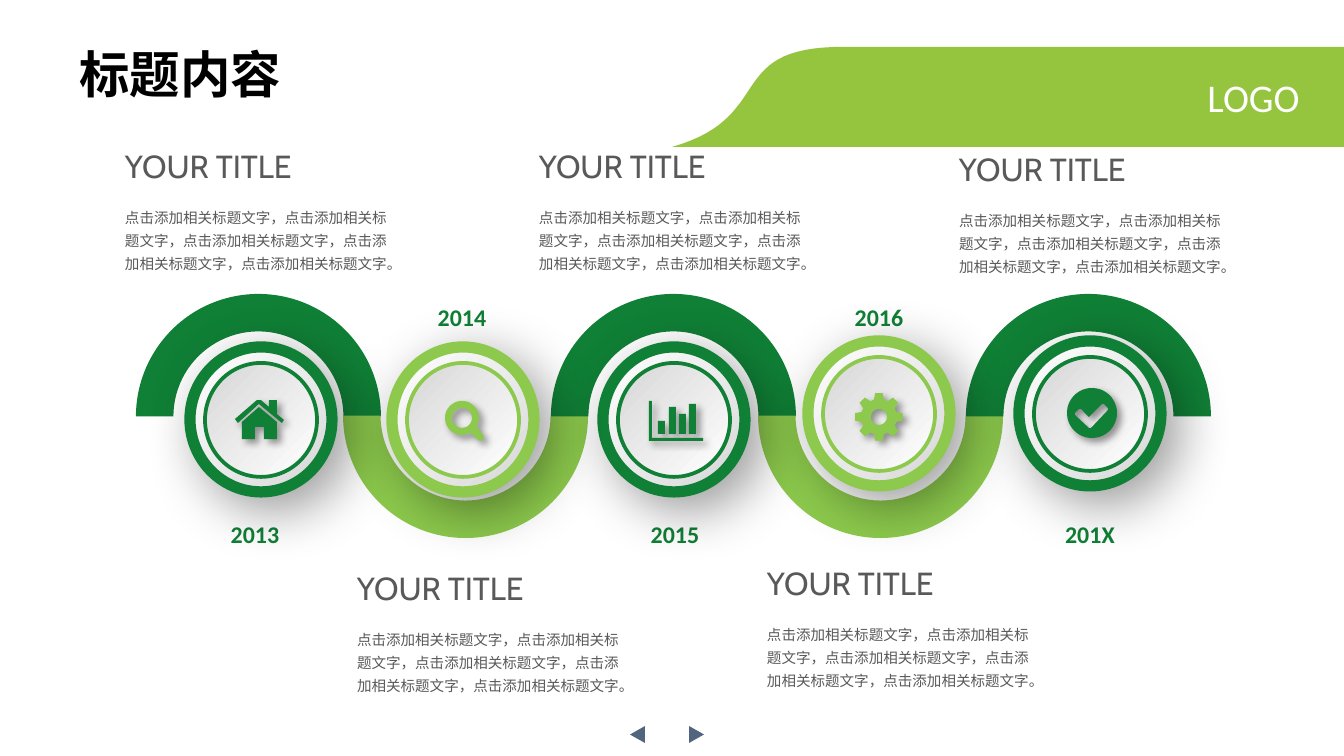
from math import cos, radians, sin

from pptx import Presentation
from pptx.dml.color import RGBColor
from pptx.enum.shapes import MSO_SHAPE as Shape
from pptx.enum.text import MSO_ANCHOR as Anchor, MSO_AUTO_SIZE as AutoSize, PP_ALIGN as Align
from pptx.oxml import parse_xml
from pptx.oxml.ns import nsdecls
from pptx.util import Pt

PX = 914400 / 134.4
GREEN, LIME, BANNER = "108036", "8CC94C", "95C53E"
GREY, SLATE, BLACK, WHITE, SILVER = "595959", "52657E", "000000", "FFFFFF", "D7D7D7"
CJK = "Noto Sans CJK SC"
hex_color = RGBColor.from_string


def style(shape, fill=None, line=None, shadow=None):
    """Set solid fill, (colour, width) line and (blur, distance) shadow in points."""
    shape.shadow.inherit = False
    if fill:
        shape.fill.solid()
        shape.fill.fore_color.rgb = hex_color(fill)
    if line:
        shape.line.color.rgb = hex_color(line[0])
        shape.line.width = Pt(line[1])
    else:
        shape.line.fill.background()
    if shadow:
        blur, distance = (Pt(value) for value in shadow)
        effects = shape.element.spPr.find("{*}effectLst")
        effects.append(parse_xml(
            f'<a:outerShdw {nsdecls("a")} blurRad="{blur}" dist="{distance}" dir="2700000"'
            ' algn="tl" rotWithShape="0"><a:srgbClr val="000000"><a:alpha val="40000"/>'
            '</a:srgbClr></a:outerShdw>'))


def write(box, place, text, size, font, color, inset=None, wrap=False,
          bold=False, align=Align.LEFT, anchor=Anchor.TOP, spacing=None):
    """Place a box and fill it with one run of text."""
    box.left, box.top, box.width, box.height = (round(value * PX) for value in place)
    frame = box.text_frame
    frame.word_wrap, frame.auto_size, frame.vertical_anchor = wrap, AutoSize.NONE, anchor
    if inset:
        frame.margin_left = frame.margin_right = round(inset[0] * PX)
        frame.margin_top = frame.margin_bottom = round(inset[1] * PX)
    para = frame.paragraphs[0]
    para.alignment, para.line_spacing = align, spacing
    span = para.add_run()
    span.text = text
    span.font.size, span.font.name, span.font.bold = Pt(size), font, bold
    span.font.color.rgb = hex_color(color)
    latin = span.font._element.find("{*}latin")
    latin.addnext(parse_xml(f'<a:ea {nsdecls("a")} typeface="{CJK}"/>'))


deck = Presentation()
deck.slide_width, deck.slide_height = round(1344 * PX), round(756 * PX)
page = deck.slides.add_slide(deck.slide_layouts[5])
shapes = page.shapes

write(shapes.title, (66, 36, 231, 75), "标题内容", 27, "Calibri", BLACK, bold=True)

# Page arrows
for left, turn in ((688, 90), (629, 270)):
    arrow = shapes.add_shape(Shape.ISOSCELES_TRIANGLE, *(round(v * PX) for v in (left, 727, 17, 15)))
    arrow.rotation = turn
    style(arrow, SLATE)

# Winding band of half rings, alternately above and below
for index in range(5):
    below = index % 2
    place = (136 + 415 * index // 2, 294 - below, 245, 245)
    arc = shapes.add_shape(Shape.BLOCK_ARC, *(round(v * PX) for v in place))
    arc.adjustments[0], arc.adjustments[1], arc.adjustments[2] = 108, 0, 0.153
    arc.rotation = 180 * below
    style(arc, LIME if below else GREEN)

# Year, year left, ring left, ring top, heading left, heading top
steps = [
    ("2013", 231, 190, 347, 116, 142),
    ("2014", 438, 392, 347, 348, 564),
    ("2015", 651, 603, 347, 530, 142),
    ("2016", 855, 808, 341, 758, 559),
    ("201X", 1066, 1019, 341, 950, 145),
]
for index, (year, left, *_) in enumerate(steps):
    write(shapes.add_textbox(0, 0, 0, 0), (left, 302 if index % 2 else 519, 48, 30), year, 12.8,
          "Calibri", GREEN, inset=(0, 0), bold=True, align=Align.CENTER, anchor=Anchor.MIDDLE)

# Upper-row medallions lie behind the neighbours that cast shadows on them
for index in (0, 2, 1, 3, 4):
    _, _, left, top, _, _ = steps[index]
    color = LIME if index % 2 else GREEN
    for place, angle, width, shadow in (
            ((left, top, 142, 145), 315, 6, (30, 10)),
            ((left + 15, top + 16, 112, 114), 135, 2, None)):
        ring = shapes.add_shape(Shape.OVAL, *(round(v * PX) for v in place))
        ring.fill.gradient()
        ring.fill.gradient_angle = angle
        for stop, shade in zip(ring.fill.gradient_stops, (WHITE, SILVER)):
            stop.color.rgb = hex_color(shade)
        style(ring, line=(color, width), shadow=shadow)

# Outlines: each is a list of contours in px
circle = [(cos(radians(a)), sin(radians(a))) for a in range(0, 360, 8)]
house = [
    [(282, 423), (259, 404), (238, 423), (235, 419), (257, 400), (261, 400), (269, 407),
     (269, 400), (277, 400), (277, 414), (284, 420)],
    [(277, 439), (264, 439), (264, 427), (255, 427), (255, 439), (242, 439), (242, 422),
     (259, 407), (277, 422)],
]
lens = [
    [(462 + 17 * cos(radians(a)), 418 + 17 * sin(radians(a))) for a in range(60, 391, 10)]
    + [(483, 435), (484, 438), (481, 441), (478, 440)],
    [(462 + 10 * x, 418 + 10 * y) for x, y in circle],
]
bars = [[(649, 401), (652, 401), (652, 438), (703, 438), (703, 441), (649, 441)]]
for left, top in ((658, 421), (669, 407), (679, 414), (689, 404)):
    bars.append([(left, top), (left + 7, top), (left + 7, 434), (left, 434)])
gear = [
    [(879 + r * cos(radians(tooth + a)), 417 + r * sin(radians(tooth + a)))
     for tooth in range(0, 360, 45) for a, r in ((-16, 18), (-9, 24), (9, 24), (16, 18))],
    [(879 + 8 * x, 417 + 8 * y) for x, y in circle],
]
check = [
    [(1092 + 25 * x, 413 + 25 * y) for x, y in circle],
    [(1108, 408), (1104, 404), (1102, 404), (1089, 417), (1081, 409), (1079, 409),
     (1075, 413), (1075, 415), (1089, 428), (1091, 428), (1108, 410)],
]
curve = []
for step in range(31):
    t = step / 30
    weights = ((1 - t) ** 3, 3 * t * (1 - t) ** 2, 3 * t * t * (1 - t), t ** 3)
    curve.append((sum(w * x for w, x in zip(weights, (672, 778, 722, 845))),
                  sum(w * y for w, y in zip(weights, (147, 117, 46, 47)))))
banner = [curve + [(1344, 47), (1344, 147)]]

for contours, color, shadow in (
        (house, GREEN, (4, 3)), (bars, GREEN, (4, 3)), (lens, LIME, (4, 3)),
        (gear, LIME, (4, 3)), (check, GREEN, (4, 3)), (banner, BANNER, None)):
    builder = None
    for contour in contours:
        points = [(x * 10, y * 10) for x, y in contour]
        if builder is None:
            builder = shapes.build_freeform(*points[0], scale=PX / 10)
        else:
            builder.move_to(*points[0])
        builder.add_line_segments(points[1:], close=True)
    style(builder.convert_to_shape(), color, shadow=shadow)

# Headings and descriptions
phrase = "点击添加相关标题文字"
for *_, left, top in steps:
    write(shapes.add_textbox(0, 0, 0, 0), (left, top, 254, 48), "YOUR TITLE", 17.1, "Cabin",
          GREY, inset=(9, 5), wrap=True)
    write(shapes.add_textbox(0, 0, 0, 0), (left, top + 57, 293, 102),
          "，".join([phrase] * 5) + "。", 7.8, CJK, GREY, inset=(9, 5), wrap=True, spacing=1.3)

write(shapes.add_textbox(0, 0, 0, 0), (1193, 67, 120, 60), "LOGO", 21, "Calibri", WHITE,
      align=Align.RIGHT)

deck.save("out.pptx")
